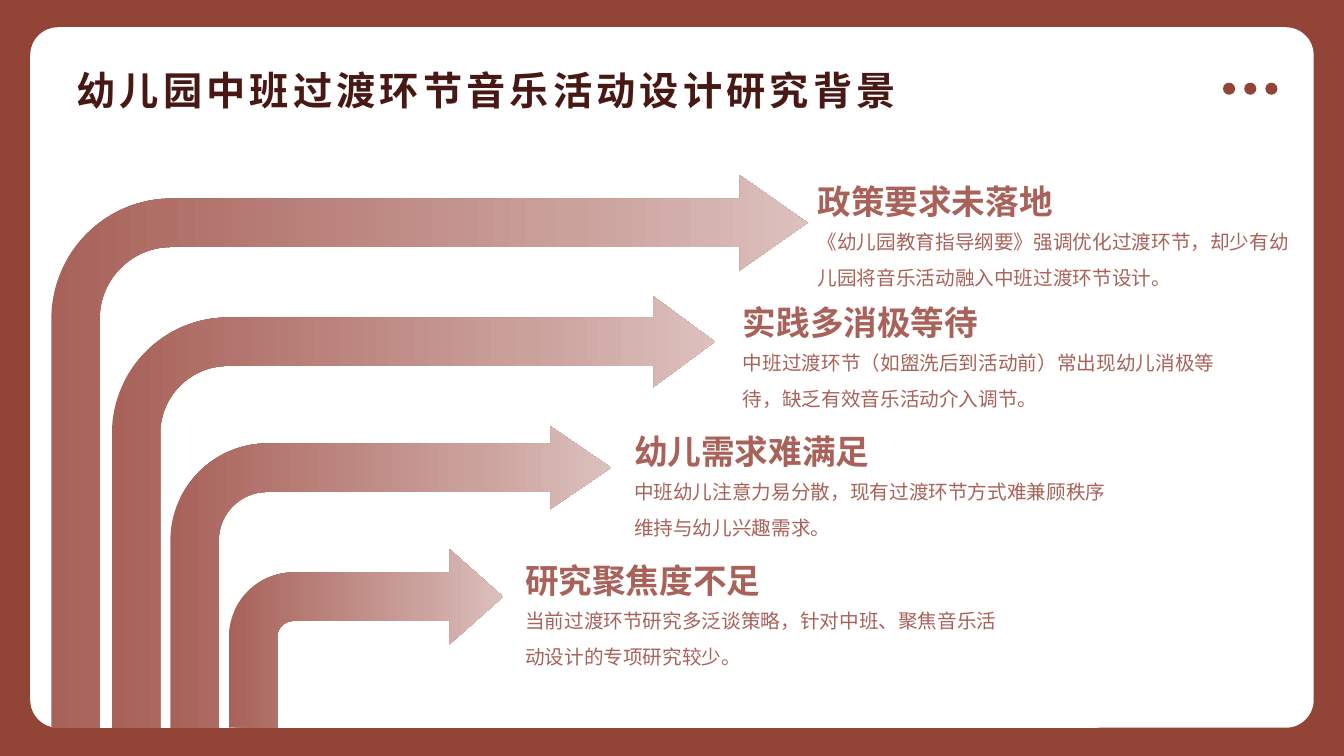
from copy import deepcopy

from lxml.etree import SubElement
from pptx import Presentation
from pptx.dml.color import RGBColor
from pptx.enum.shapes import MSO_SHAPE
from pptx.enum.text import MSO_ANCHOR, MSO_AUTO_SIZE
from pptx.oxml.ns import qn
from pptx.util import Inches, Pt

BRICK = RGBColor(0x92, 0x44, 0x37)
WHITE = RGBColor(0xFF, 0xFF, 0xFF)
DARK = RGBColor(0x48, 0x19, 0x14)
ROSE = RGBColor(0xA8, 0x62, 0x5A)
MID_ROSE = RGBColor(0xCB, 0xA1, 0x9C)
PALE_ROSE = RGBColor(0xDC, 0xC0, 0xBD)
FONT = "Noto Sans CJK SC"

# Panel box and arrow shaft width in inches
PANEL = (0.3, 0.27, 12.73, 6.95)
SHAFT = 0.48
ROUND = 0.55  # control-point share that turns a corner into a quarter circle

# Arrow: left, centre line, outer radius, head start, tip, half head height
# Text: left, top, heading, body
TOPICS = [
    ((0.51, 2.21, 1.19, 7.34, 8.01, 0.47), (8.01, 1.75), "政策要求未落地",
     "《幼儿园教育指导纲要》强调优化过渡环节，却少有幼儿园将音乐活动融入中班过渡环节设计。"),
    ((1.11, 3.39, 1.15, 6.48, 7.09, 0.45), (7.27, 2.95), "实践多消极等待",
     "中班过渡环节（如盥洗后到活动前）常出现幼儿消极等待，缺乏有效音乐活动介入调节。"),
    ((1.69, 4.64, 0.96, 5.46, 6.06, 0.41), (6.19, 4.23), "幼儿需求难满足",
     "中班幼儿注意力易分散，现有过渡环节方式难兼顾秩序维持与幼儿兴趣需求。"),
    ((2.27, 5.92, 0.64, 4.46, 4.99, 0.47), (5.11, 5.51), "研究聚焦度不足",
     "当前过渡环节研究多泛谈策略，针对中班、聚焦音乐活动设计的专项研究较少。"),
]


def add_text(s, box, text, size, color, bold=False, spacing=0,
             line_spacing=None, anchor=MSO_ANCHOR.TOP, grow=True):
    tf = s.shapes.add_textbox(*map(Inches, box)).text_frame
    tf.word_wrap = True
    tf.vertical_anchor = anchor
    tf.auto_size = MSO_AUTO_SIZE.SHAPE_TO_FIT_TEXT if grow else MSO_AUTO_SIZE.NONE
    p = tf.paragraphs[0]
    if line_spacing:
        p.line_spacing = line_spacing
    r = p.add_run()
    r.text = text
    r.font.size, r.font.bold, r.font.name = Pt(size), bold, FONT
    r.font.color.rgb = color
    rpr = r._r.get_or_add_rPr()
    SubElement(rpr, qn("a:ea")).set("typeface", FONT)
    if spacing:
        rpr.set("spc", str(spacing * 100))


def add_solid(s, kind, box, color):
    sp = s.shapes.add_shape(kind, *map(Inches, box))
    sp.shadow.inherit = False
    sp.fill.solid()
    sp.fill.fore_color.rgb = color
    sp.line.fill.background()
    return sp


def fade(sp):
    """Three-stop gradient running from rose at the left to pale at the right."""
    sp.fill.gradient()
    sp.fill.gradient_angle = 0
    first = sp.fill._fill._gradFill.gsLst[0]
    first.addnext(deepcopy(first))
    colors = [(0, ROSE), (0.69, MID_ROSE), (1, PALE_ROSE)]
    for stop, (position, color) in zip(sp.fill.gradient_stops, colors):
        stop.position = position
        stop.color.rgb = color


def round_segment(start, end, vertical_first):
    """Turn the straight segment from start to end into a quarter circle."""
    (x0, y0), (x1, y1) = [(int(seg[0].get("x")), int(seg[0].get("y")))
                          for seg in (start, end)]
    corner_x, corner_y = (x0, y1) if vertical_first else (x1, y0)
    end.tag = qn("a:cubicBezTo")
    controls = [SubElement(end, qn("a:pt")) for _ in range(2)]
    for pt, x, y in zip(controls, (x0, x1), (y0, y1)):
        pt.set("x", str(round(x + ROUND * (corner_x - x))))
        pt.set("y", str(round(y + ROUND * (corner_y - y))))
    end.append(end[0])


def add_frame(s, box):
    """Brick background, white panel and the three dots in its corner."""
    left, top, width, height = box
    s.background.fill.solid()
    s.background.fill.fore_color.rgb = BRICK
    panel = add_solid(s, MSO_SHAPE.ROUNDED_RECTANGLE, box, WHITE)
    panel.adjustments[0] = 0.04
    for i in range(3):
        dot = (left + width - 0.9 + 0.21 * i, top + 0.55, 0.12, 0.12)
        add_solid(s, MSO_SHAPE.OVAL, dot, BRICK)


def add_bent_arrow(s, bottom, left, centre, radius, head, tip, half_head):
    top, low = centre - SHAFT / 2, centre + SHAFT / 2
    cx, cy = left + radius, top + radius
    outline = [(left, bottom), (left, cy), (cx, top),
               (head, top), (head, centre - half_head), (tip, centre),
               (head, centre + half_head), (head, low),
               (cx, low), (left + SHAFT, cy), (left + SHAFT, bottom)]
    points = [(Inches(x), Inches(y)) for x, y in outline]
    builder = s.shapes.build_freeform(*points[0])
    builder.add_line_segments(points[1:], close=True)
    sp = builder.convert_to_shape()
    sp.shadow.inherit = False
    sp.line.fill.background()
    fade(sp)

    # Round the outer and inner bends
    segments = list(sp._element.iter(qn("a:lnTo")))
    round_segment(segments[0], segments[1], vertical_first=True)
    round_segment(segments[7], segments[8], vertical_first=False)


def add_topic(s, left, top, heading, body):
    add_text(s, (left, top, 2.85, 0.5), heading, 24, ROSE, bold=True)
    add_text(s, (left, top + 0.37, 4.99, 0.8), body, 14, ROSE, line_spacing=1.5)


def main():
    prs = Presentation()
    prs.slide_width, prs.slide_height = Inches(13.33), Inches(7.5)
    s = prs.slides.add_slide(prs.slide_layouts[6])
    add_frame(s, PANEL)
    add_text(s, (0.66, 0.51, 12, 0.77), "幼儿园中班过渡环节音乐活动设计研究背景", 28, DARK,
             bold=True, spacing=3, anchor=MSO_ANCHOR.MIDDLE, grow=False)

    # Nested arrows rise from the panel's lower edge, each to its topic
    bottom = PANEL[1] + PANEL[3]
    for arrow, corner, heading, body in TOPICS:
        add_bent_arrow(s, bottom, *arrow)
        add_topic(s, *corner, heading, body)
    prs.save("out.pptx")


if __name__ == "__main__":
    main()
